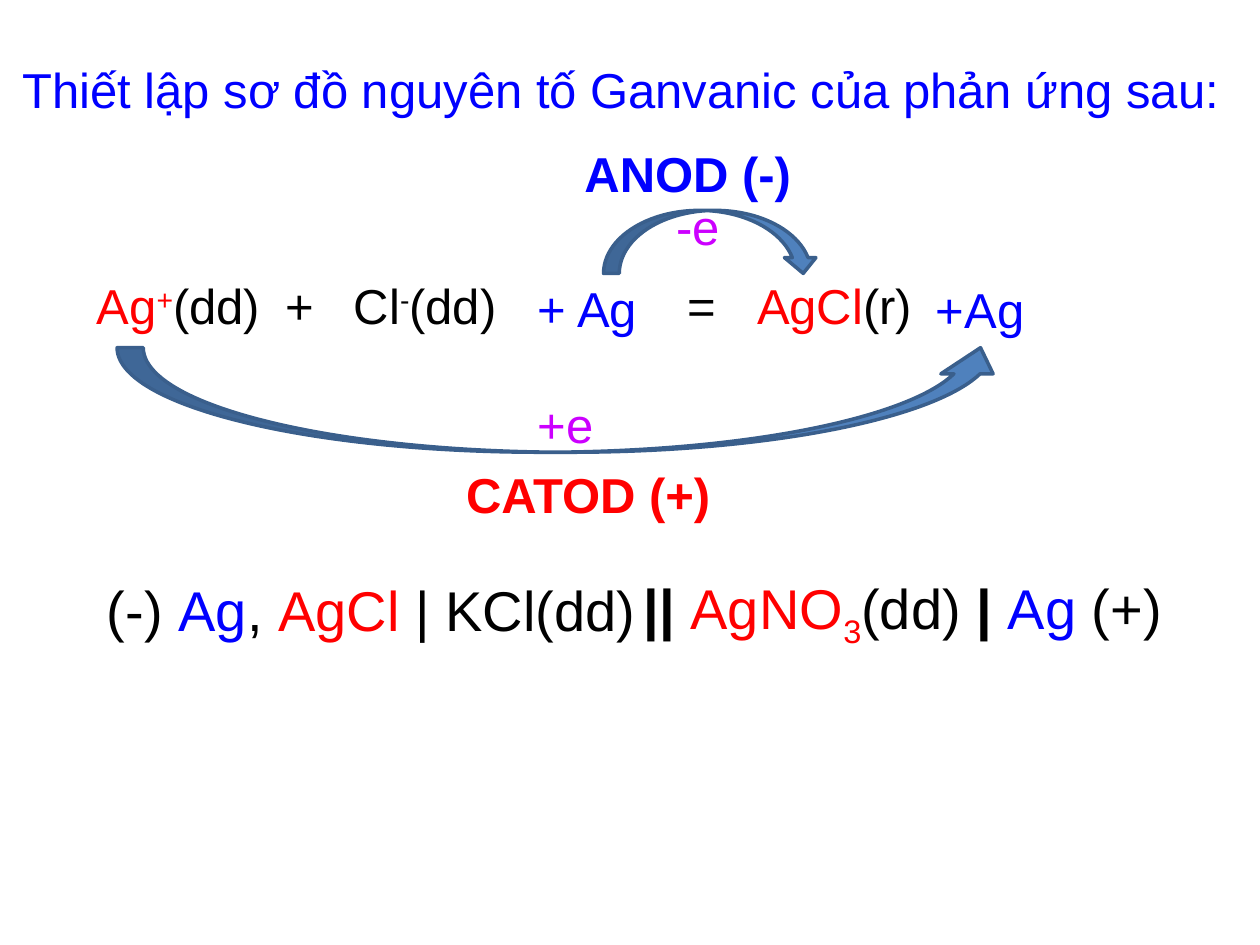
from dataclasses import dataclass

import lxml.etree
import pptx
import pptx.dml.color
import pptx.enum.shapes
import pptx.enum.text
import pptx.oxml.ns
import pptx.slide
import pptx.util

Inches = pptx.util.Inches
Pt = pptx.util.Pt
RGBColor = pptx.dml.color.RGBColor
Anchor = pptx.enum.text.MSO_ANCHOR
Preset = pptx.enum.shapes.MSO_SHAPE

BLACK = RGBColor(0x00, 0x00, 0x00)
BLUE = RGBColor(0x00, 0x00, 0xFF)
RED = RGBColor(0xFF, 0x00, 0x00)
VIOLET = RGBColor(0xCC, 0x00, 0xFF)
ARROW_FILL = RGBColor(0x4F, 0x81, 0xBD)
ARROW_LINE = RGBColor(0x3A, 0x5F, 0x8C)

SUPERSCRIPT = 30
SUBSCRIPT = -25


@dataclass(frozen=True)
class Piece:
    text: str
    color: RGBColor = BLACK
    bold: bool = False
    baseline: int = 0


@dataclass(frozen=True)
class Label:
    left: float
    top: float
    width: float
    height: float
    pieces: tuple[Piece, ...]
    size: int = 28
    anchor: Anchor = Anchor.TOP
    tabs: tuple[float, ...] = ()


@dataclass(frozen=True)
class ElectronArrow:
    preset: Preset
    left: float
    top: float
    width: float
    height: float


LABELS = (
    Label(0.08, 0.08, 9.92, 1.25,
          (Piece("Thiết lập sơ đồ nguyên tố Ganvanic của phản ứng sau:", BLUE),),
          anchor=Anchor.MIDDLE),
    Label(0.67, 2.14, 9.17, 1,
          (Piece("Ag", RED), Piece("+", RED, baseline=SUPERSCRIPT),
           Piece("(dd)\t+\tCl"), Piece("-", baseline=SUPERSCRIPT),
           Piece("(dd)\t=\t"), Piece("AgCl", RED), Piece("(r)")),
          tabs=(1.5, 2.04, 4.69, 5.24)),
    Label(4.17, 2.16, 1.25, 0.57, (Piece("+ Ag", BLUE),)),
    Label(7.33, 2.17, 1.25, 0.57, (Piece("+Ag", BLUE),)),
    Label(4.17, 3.08, 0.71, 0.57, (Piece("+e", VIOLET),)),
    Label(3.6, 3.64, 2.38, 0.57, (Piece("CATOD (+)", RED, True),)),
    Label(5.01, 4.5, 4.65, 0.64,
          (Piece("|| ", bold=True), Piece("AgNO", RED),
           Piece("3", RED, baseline=SUBSCRIPT), Piece("(dd) "),
           Piece("| ", bold=True), Piece("Ag", BLUE), Piece(" (+)")),
          size=32),
    Label(5.27, 1.51, 0.71, 0.57, (Piece("-e", VIOLET),)),
    Label(4.54, 1.09, 2.38, 0.57, (Piece("ANOD (-)", BLUE, True),)),
    Label(0.75, 4.52, 4.42, 0.64,
          (Piece("(-) "), Piece("Ag", BLUE), Piece(", "),
           Piece("AgCl ", RED), Piece("| KCl(dd)")),
          size=32),
)

REDUCTION_ARROW = ElectronArrow(Preset.CURVED_UP_ARROW, 0.93, 2.76, 7.06, 0.83)
OXIDATION_ARROW = ElectronArrow(Preset.CURVED_DOWN_ARROW, 4.79, 1.67, 1.71, 0.5)


def draw_label(slide: pptx.slide.Slide, label: Label) -> None:
    box = slide.shapes.add_textbox(Inches(label.left), Inches(label.top),
                                   Inches(label.width), Inches(label.height))
    frame = box.text_frame
    frame.word_wrap = True
    frame.vertical_anchor = label.anchor
    paragraph = frame.paragraphs[0]
    if label.tabs:
        qn = pptx.oxml.ns.qn
        properties = paragraph._p.get_or_add_pPr()
        tab_list = lxml.etree.SubElement(properties, qn("a:tabLst"))
        for position in label.tabs:
            lxml.etree.SubElement(tab_list, qn("a:tab"),
                                  pos=str(Inches(position)), algn="l")
    for piece in label.pieces:
        run = paragraph.add_run()
        run.text = piece.text
        font_format = {"name": "Arial", "size": Pt(label.size), "bold": piece.bold}
        for attribute, value in font_format.items():
            setattr(run.font, attribute, value)
        run.font.color.rgb = piece.color
        if piece.baseline:
            run._r.get_or_add_rPr().set("baseline", str(piece.baseline * 1000))


def draw_arrow(slide: pptx.slide.Slide, arrow: ElectronArrow) -> None:
    curve = slide.shapes.add_shape(arrow.preset, Inches(arrow.left), Inches(arrow.top),
                                   Inches(arrow.width), Inches(arrow.height))
    curve.shadow.inherit = False
    curve.fill.solid()
    curve.fill.fore_color.rgb = ARROW_FILL
    curve.line.color.rgb = ARROW_LINE
    curve.line.width = Pt(2)


def main() -> None:
    presentation = pptx.Presentation()
    presentation.slide_width = Inches(10)
    presentation.slide_height = Inches(7.5)
    slide = presentation.slides.add_slide(presentation.slide_layouts[6])
    for label in LABELS[:4]:
        draw_label(slide, label)
    draw_arrow(slide, REDUCTION_ARROW)
    for label in LABELS[4:]:
        draw_label(slide, label)
    draw_arrow(slide, OXIDATION_ARROW)
    presentation.save("out.pptx")


if __name__ == "__main__":
    main()
